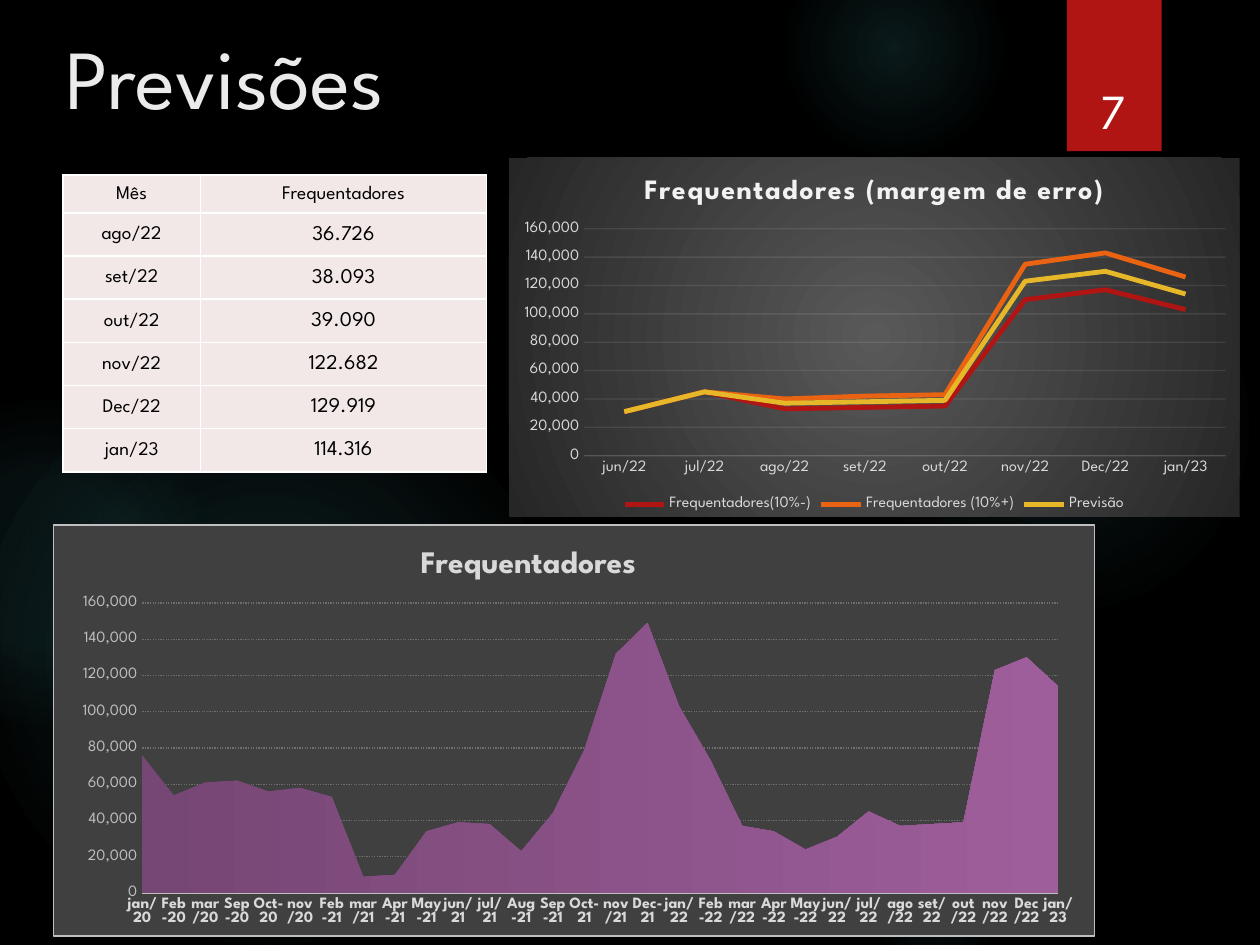
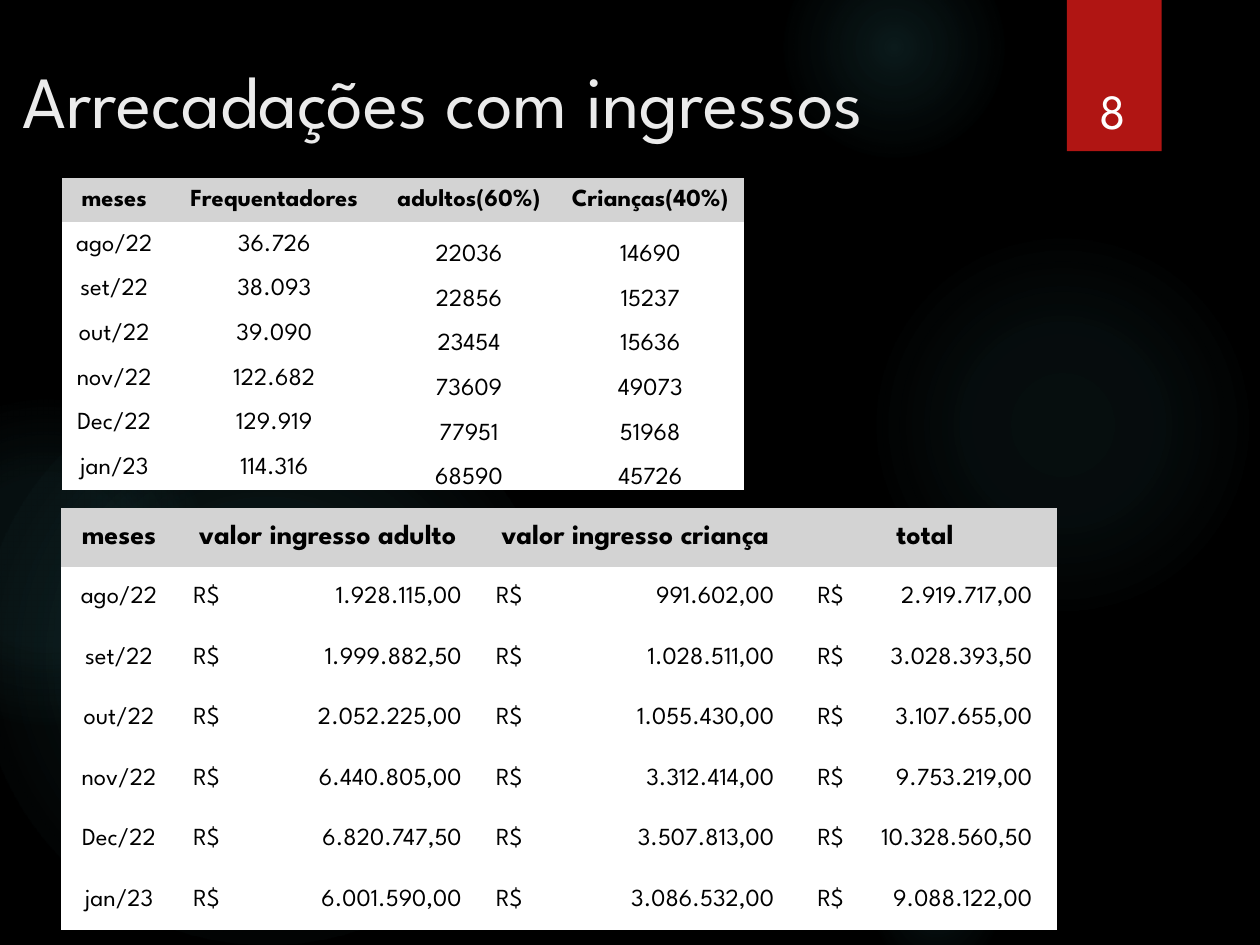
from dataclasses import dataclass

from pptx import Presentation
from pptx.chart.data import CategoryChartData as ChartData
from pptx.dml.color import RGBColor
from pptx.enum.chart import XL_CHART_TYPE as Kind, XL_LEGEND_POSITION as Legend, XL_TICK_MARK as Tick
from pptx.enum.dml import MSO_LINE as Dash
from pptx.enum.shapes import MSO_SHAPE as Form
from pptx.enum.text import MSO_ANCHOR as Anchor, MSO_AUTO_SIZE as Fit, PP_ALIGN as Align
from pptx.oxml import parse_xml
from pptx.oxml.ns import nsdecls, qn
from pptx.util import Cm, Pt


@dataclass(frozen=True)
class Theme:
    face: str = "League Spartan"
    back: str = "000000"
    ink: str = "000000"
    white: str = "FFFFFF"
    title: str = "EBEBEB"
    red: str = "B01513"
    orange: str = "EA6312"
    gold: str = "E6B729"
    glow: str = "50B9C1"
    blush: str = "F2E8E7"
    head: str = "D3D3D3"
    panel: str = "404040"
    edge: str = "BFBFBF"
    label: str = "D9D9D9"
    faint: str = "F2F2F2"
    dots: str = "6E6E6E"
    plum: tuple = ("764674", "9E5E9B")
    page: int = 28
    cell: int = 14
    axis: int = 9


T = Theme()
rgb = RGBColor.from_string


def style(font, size, color, bold=False):
    font.name, font.size, font.bold = T.face, Pt(size), bold
    font.color.rgb = rgb(color)


def grid(slide, left, top, widths, heights, rows, fills, sizes, low=(), money=False, lined=False):
    """Table with a head row; fills and sizes are (head, body), sizes per column in the body."""
    frame = slide.shapes.add_table(len(rows), len(widths), Cm(left), Cm(top),
                                   Cm(sum(widths)), Cm(sum(heights)))
    table = frame.table
    table.first_row = table.horz_banding = False
    mark = next(frame.element.iter(qn("a:tableStyleId")))
    mark.text = "{2D5ABB26-0587-4C30-8999-92F81FD0307C}"
    for col, width in zip(table.columns, widths):
        col.width = Cm(width)
    for row, height in zip(table.rows, heights):
        row.height = Cm(height)
    for r, row in enumerate(rows):
        for c, text in enumerate(row):
            cell = table.cell(r, c)
            cell.text = text
            cell.margin_left = cell.margin_right = cell.margin_top = Cm(0.03)
            cell.margin_bottom = 0
            cell.vertical_anchor = Anchor.BOTTOM if r and c in low else Anchor.MIDDLE
            cell.fill.solid()
            cell.fill.fore_color.rgb = rgb(fills[r > 0])
            para = cell.text_frame.paragraphs[0]
            para.alignment = Align.CENTER
            size = sizes[1][c] if r else sizes[0]
            style(para.font, size, T.ink, bold=not r and not lined)
            if money and r and c:
                # Currency sign on the left, amount on a right tab
                inset = (0.32, 0.37, 0.5)[c - 1]
                cell.margin_left = Cm(inset)
                para.alignment = Align.LEFT
                stop = Cm(widths[c] - 2 * inset)
                para._p.get_or_add_pPr().insert(0, parse_xml(
                    f'<a:tabLst {nsdecls("a")}><a:tab pos="{stop}" algn="r"/></a:tabLst>'))
            if lined:
                for i, side in enumerate("LRTB"):
                    cell._tc.tcPr.insert(i, parse_xml(
                        f'<a:ln{side} {nsdecls("a")} w="12700"><a:solidFill>'
                        f'<a:srgbClr val="{T.white}"/></a:solidFill></a:ln{side}>'))


# Deck with two slides
deck = Presentation()
deck.slide_width, deck.slide_height = Cm(25.4), Cm(19.05)
fill = deck.slide_master.background.fill
fill.solid()
fill.fore_color.rgb = rgb(T.back)
plain = deck.slide_layouts[5]
first, second = [deck.slides.add_slide(plain) for _ in range(2)]

# Shared backdrop: soft glows and the red tag, moved into the layout
decor = []
for left, top, size, stops in [
    (17.5, 4.65, 7.82, ((0, 7), (36, 6), (69, 0))),
    (15.8, -1.27, 4.45, ((0, 14), (36, 7), (73, 0))),
    (17.5, 16.94, 2.74, ((0, 9), (36, 5), (66, 0))),
    (-0.43, 7.42, 11.63, ((0, 11), (36, 10), (75, 0))),
    (-2.34, 8.05, 6.55, ((0, 8), (36, 8), (72, 0))),
]:
    glow = first.shapes.add_shape(Form.OVAL, Cm(left), Cm(top), Cm(size), Cm(size))
    glow.shadow.inherit = False
    glow.line.fill.background()
    glow.fill.background()
    shades = "".join(f'<a:gs pos="{at * 1000}"><a:srgbClr val="{T.glow}">'
                     f'<a:alpha val="{alpha * 1000}"/></a:srgbClr></a:gs>' for at, alpha in stops)
    props = glow.element.spPr
    props.replace(props.find(qn("a:noFill")), parse_xml(
        f'<a:gradFill {nsdecls("a")}><a:gsLst>{shades}</a:gsLst><a:path path="circle">'
        '<a:fillToRect l="50000" t="50000" r="50000" b="50000"/></a:path></a:gradFill>'))
    decor.append(glow)

tag = first.shapes.add_shape(Form.RECTANGLE, Cm(21.51), 0, Cm(1.91), Cm(3.05))
tag.fill.solid()
tag.fill.fore_color.rgb = rgb(T.red)
tag.line.fill.background()
tag.shadow.inherit = False
tag.element.spPr.find(qn("a:effectLst")).append(parse_xml(
    f'<a:outerShdw {nsdecls("a")} blurRad="{Pt(3)}" dist="{Pt(2)}" dir="5400000">'
    f'<a:srgbClr val="{T.back}"><a:alpha val="45000"/></a:srgbClr></a:outerShdw>'))
decor.append(tag)
for i, shape in enumerate(decor):
    plain.shapes.element.insert(2 + i, shape.element)

# Titles and page numbers
for slide, text, size, box, page in [
    (first, "Previsões", 48, (1.07, 0.38, 21.01, 2.57), "7"),
    (second, "Arrecadações com ingressos", 42, (0.2, 0.99, 22.1, 3.89), "8"),
]:
    title = slide.shapes.title
    title.left, title.top, title.width, title.height = map(Cm, box)
    number = slide.shapes.add_textbox(Cm(21.56), Cm(0.81), Cm(1.75), Cm(2.13))
    for shape, words, points, color, anchor, align in [
        (title, text, size, T.title, Anchor.TOP, Align.LEFT),
        (number, page, T.page, T.white, Anchor.BOTTOM, Align.CENTER),
    ]:
        body = shape.text_frame
        body.text = words
        body.word_wrap, body.auto_size = True, Fit.NONE
        body.vertical_anchor = anchor
        body.paragraphs[0].alignment = align
        style(body.paragraphs[0].font, points, color)

# Forecast figures: 60% adults, 40% children, and ticket prices
months = ["ago/22", "set/22", "out/22", "nov/22", "Dec/22", "jan/23"]
guests = [36726, 38093, 39090, 122682, 129919, 114316]
adult, child = 0.6 * 87.5, 0.4 * 67.5
counts = [f"{n:,}".replace(",", ".") for n in guests]
swap = str.maketrans(",.", ".,")

# Slide 7: forecast table
grid(first, 1.27, 3.53, [2.77, 5.77], [0.76] + [0.87] * 6,
     [("Mês", "Frequentadores"), *zip(months, counts)],
     (T.blush, T.blush), (11, (11, 12)), lined=True)

# Slide 7: charts, values in thousands
span = ["jan/20", "Feb-20", "mar/20", "Sep-20", "Oct-20", "nov/20", "Feb-21", "mar/21",
        "Apr-21", "May-21", "jun/21", "jul/21", "Aug-21", "Sep-21", "Oct-21", "nov/21",
        "Dec-21", "jan/22", "Feb-22", "mar/22", "Apr-22", "May-22", "jun/22", "jul/22"]
visits = [76, 54, 61, 62, 56, 58, 53, 9, 10, 34, 39, 38, 23, 44, 79, 132, 149, 103, 73,
          37, 34, 24, 31, 45, 37, 38, 39, 123, 130, 114]
solid = f'<a:solidFill><a:srgbClr val="{T.panel}"/></a:solidFill>'
border = f'<a:ln w="9525"><a:solidFill><a:srgbClr val="{T.edge}"/></a:solidFill></a:ln>'
radial = ('<a:gradFill><a:gsLst><a:gs pos="0"><a:srgbClr val="595959"/></a:gs>'
          '<a:gs pos="100000"><a:srgbClr val="262626"/></a:gs></a:gsLst><a:path path="circle">'
          '<a:fillToRect l="50000" t="50000" r="50000" b="50000"/></a:path></a:gradFill>')
area, line = Kind.AREA_STACKED, Kind.LINE

for kind, box, name, size, color, skin, plot, cats, data in [
    (area, (1.07, 10.57, 21.01, 8.31), "Frequentadores", 18, T.label, solid + border,
     (0.085, 0.19, 0.88, 0.706), span + months, {"Frequentadores": visits}),
    (line, (10.26, 3.18, 14.73, 7.24), "Frequentadores (margem de erro)", 16, T.faint,
     radial + "<a:ln><a:noFill/></a:ln>", (0.103, 0.198, 0.878, 0.632),
     ["jun/22", "jul/22"] + months,
     {"Frequentadores(10%-)": [31, 45, 33, 34, 35, 110, 117, 103],
      "Frequentadores (10%+)": [31, 45, 40, 42, 43, 135, 143, 126],
      "Previsão": visits[-8:]}),
]:
    source = ChartData(number_format="#,##0")
    source.categories = cats
    for key, values in data.items():
        source.add_series(key, [v * 1000 for v in values])
    chart = first.shapes.add_chart(kind, *map(Cm, box), source).chart
    root = chart.element
    style(chart.font, 10, T.white)
    root.find(qn("c:chart")).addnext(parse_xml(f'<c:spPr {nsdecls("c", "a")}>{skin}</c:spPr>'))

    # Title
    chart.has_title = True
    chart.chart_title.include_in_layout = False
    head = chart.chart_title.text_frame
    head.text = name
    style(head.paragraphs[0].font, size, color, bold=True)

    # Axes
    cat, val = chart.category_axis, chart.value_axis
    val.minimum_scale, val.maximum_scale, val.major_unit = 0, 160000, 20000
    val.tick_labels.number_format = "#,##0"
    val.tick_labels.number_format_is_linked = False
    for axis in (cat, val):
        axis.major_tick_mark = axis.minor_tick_mark = Tick.NONE
    style(cat.tick_labels.font, T.axis, T.label, bold=kind == area)
    style(val.tick_labels.font, T.axis, T.edge if kind == area else T.label)
    val.format.line.fill.background()
    cat.has_major_gridlines, val.has_major_gridlines = False, True
    rule = val.major_gridlines.format.line
    for stroke, tint in ((cat.format.line, T.edge), (rule, T.dots)):
        stroke.width = Pt(0.75)
        stroke.color.rgb = rgb(tint if kind == area else T.faint)

    # Series
    plots = chart.plots[0]
    plots.vary_by_categories = False
    chart.has_legend = kind == line
    if kind == area:
        rule.dash_style = Dash.ROUND_DOT
        root.xpath("//c:valAx/c:crossBetween")[0].set("val", "midCat")
        paint = plots.series[0].format.fill
        paint.gradient()
        paint.gradient_angle = 0
        for stop, tint in zip(paint.gradient_stops, T.plum):
            stop.color.rgb = rgb(tint)
    else:
        root.xpath("//c:title//a:defRPr")[0].set("spc", "100")
        for tint in root.xpath("//c:majorGridlines//a:srgbClr | //c:catAx/c:spPr//a:srgbClr"):
            tint.append(parse_xml(f'<a:alpha {nsdecls("a")} val="10000"/>'))
        chart.legend.position = Legend.BOTTOM
        chart.legend.include_in_layout = False
        style(chart.legend.font, T.axis, T.label)
        for series, tint in zip(plots.series, (T.red, T.orange, T.gold)):
            series.smooth = False
            series.format.line.width = Pt(2.75)
            series.format.line.color.rgb = rgb(tint)

    # Fixed places for the plot and the area title
    spots = [("c:plotArea", '<c:layoutTarget val="inner"/>', dict(zip("xywh", plot)))]
    if kind == area:
        spots.append(("c:title", "", {"x": 0.347, "y": 0.04}))
    for part, target, place in spots:
        owner = root.xpath(f"//{part}")[0]
        for old in owner.findall(qn("c:layout")):
            owner.remove(old)
        modes = "".join(f'<c:{k}Mode val="edge"/>' for k in "xy")
        sizes = "".join(f'<c:{k} val="{v}"/>' for k, v in place.items())
        owner.insert(int(part == "c:title"), parse_xml(
            f'<c:layout {nsdecls("c")}><c:manualLayout>{target}{modes}{sizes}'
            '</c:manualLayout></c:layout>'))

# Slide 8: revenue and visitor tables
sums = [[f"R$\t{n * price:,.2f}".translate(swap) for price in (adult, child, adult + child)]
        for n in guests]
grid(second, 1.22, 10.24, [2.36, 6.05, 6.35, 5.33], [1.19] + [1.22] * 6,
     [("meses", "valor ingresso adulto", "valor ingresso criança", "total"),
      *([month, *cells] for month, cells in zip(months, sums))],
     (T.head, T.white), (16, [T.cell] * 4), money=True)
split = [(f"{n * 0.6:.0f}", f"{n * 0.4:.0f}") for n in guests]
grid(second, 1.24, 3.58, [2.13, 4.32, 3.53, 3.78], [0.9] * 7,
     [("meses", "Frequentadores", "adultos(60%)", "Crianças(40%)"),
      *((month, count, *pair) for month, count, pair in zip(months, counts, split))],
     (T.head, T.white), (T.cell, [T.cell] * 4), low=(2, 3))

deck.save("out.pptx")
